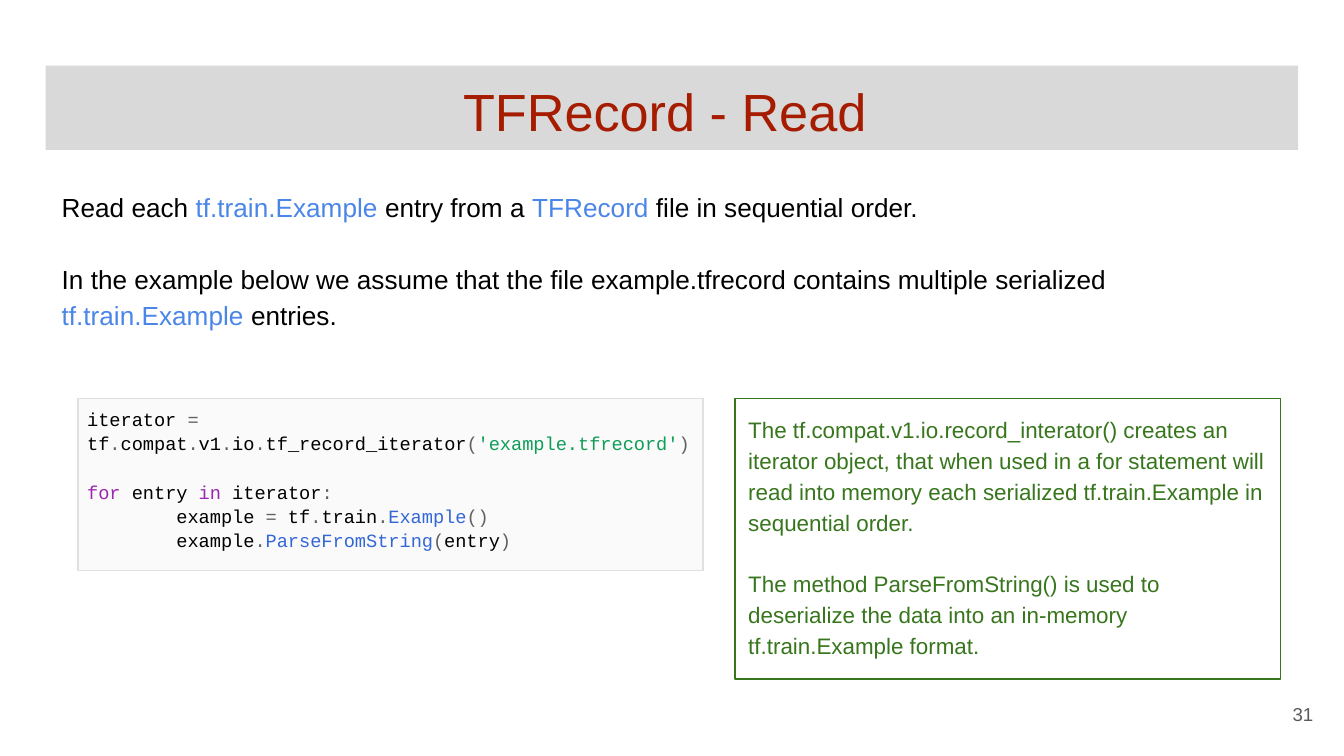
from lxml.etree import SubElement
from pptx import Presentation
from pptx.dml.color import RGBColor
from pptx.enum.shapes import MSO_SHAPE
from pptx.enum.text import MSO_ANCHOR, PP_ALIGN
from pptx.oxml.ns import qn
from pptx.util import Pt

BLACK = RGBColor(0x00, 0x00, 0x00)
RED = RGBColor(0xA6, 0x1C, 0x00)
SILVER = RGBColor(0xD9, 0xD9, 0xD9)
SLATE = RGBColor(0x59, 0x59, 0x59)
BLUE = RGBColor(0x4A, 0x86, 0xE8)
GREEN = RGBColor(0x38, 0x76, 0x1D)
PALE = RGBColor(0xFA, 0xFA, 0xFA)
EDGE = RGBColor(0xE0, 0xE0, 0xE0)
MARK = RGBColor(0x61, 0x61, 0x61)
STRING = RGBColor(0x0F, 0x9D, 0x58)
KEYWORD = RGBColor(0x9C, 0x27, 0xB0)
METHOD = RGBColor(0x33, 0x67, 0xD6)

INTRO = [
    [("Read each ", BLACK), ("tf.train.Example ", BLUE), ("entry from a ", BLACK),
     ("TFRecord", BLUE), (" file in sequential order.", BLACK)],
    [("In the example below we assume that the file example.tfrecord "
      "contains multiple serialized ", BLACK),
     ("tf.train.Example ", BLUE), ("entries.", BLACK)],
]
DOT = (".", MARK)
CODE = [
    [("iterator ", BLACK), ("=", MARK), (" tf", BLACK), DOT, ("compat", BLACK), DOT,
     ("v1", BLACK), DOT, ("io", BLACK), DOT, ("tf_record_iterator", BLACK),
     ("(", MARK), ("'example.tfrecord'", STRING), (")", MARK)],
    [("for", KEYWORD), (" entry ", BLACK), ("in", KEYWORD), (" iterator", BLACK),
     (":", MARK)],
    [("        example ", BLACK), ("=", MARK), (" tf", BLACK), DOT, ("train", BLACK),
     DOT, ("Example", METHOD), ("()", MARK)],
    [("        example", BLACK), DOT, ("ParseFromString", METHOD), ("(", MARK),
     ("entry", BLACK), (")", MARK)],
]
NOTES = [
    [("The tf.compat.v1.io.record_interator() creates an iterator object, that when "
      "used in a for statement will read into memory each serialized "
      "tf.train.Example in sequential order.", GREEN)],
    [("The method ParseFromString() is used to deserialize the data into an "
      "in-memory tf.train.Example format.", GREEN)],
]


class Deck:
    sans = "Arial"
    mono = "Courier New"
    inset = 7.2

    def __init__(self):
        self.show = Presentation()
        self.show.slide_width, self.show.slide_height = Pt(720), Pt(405)
        self.slide = self.show.slides.add_slide(self.show.slide_layouts[5])
        self.shapes = self.slide.shapes

    def frame(self, frame, anchor=MSO_ANCHOR.TOP):
        frame.word_wrap = True
        frame.vertical_anchor = anchor
        frame.margin_left = frame.margin_right = Pt(self.inset)
        frame.margin_top = frame.margin_bottom = Pt(self.inset)

    def font(self, run, size, color, name):
        run.font.size, run.font.name = Pt(size), name
        run.font.color.rgb = color

    def line(self, frame, text, size, color, align):
        frame.text = text
        frame.paragraphs[0].alignment = align
        self.font(frame.paragraphs[0].runs[0], size, color, self.sans)

    def prose(self, frame, lines, size, gap, name=sans):
        for index, parts in enumerate(lines):
            para = frame.add_paragraph() if index else frame.paragraphs[0]
            para.alignment = PP_ALIGN.LEFT
            para.line_spacing = 1.15
            if index == 1:
                para.space_before = Pt(gap)
            for text, color in parts:
                run = para.add_run()
                run.text = text
                self.font(run, size, color, name)

    def title(self, text, left, top, width, height):
        title = self.shapes.title
        title.left, title.top = Pt(left), Pt(top)
        title.width, title.height = Pt(width), Pt(height)
        title.fill.solid()
        title.fill.fore_color.rgb = SILVER
        self.frame(title.text_frame)
        self.line(title.text_frame, text, 28, RED, PP_ALIGN.CENTER)

    def number(self, text, left, top, width, height):
        box = self.shapes.add_textbox(Pt(left), Pt(top), Pt(width), Pt(height))
        self.frame(box.text_frame, MSO_ANCHOR.MIDDLE)
        self.line(box.text_frame, text, 10, SLATE, PP_ALIGN.RIGHT)

    def body(self, lines, left, top, width, height):
        box = self.shapes.add_textbox(Pt(left), Pt(top), Pt(width), Pt(height))
        self.frame(box.text_frame)
        self.prose(box.text_frame, lines, 14, 19.3)

    def code(self, lines, left, top, width, height):
        table = self.shapes.add_table(
            1, 1, Pt(left), Pt(top), Pt(width), Pt(height)).table
        table.first_row = table.horz_banding = False
        cell = table.cell(0, 0)
        cell.margin_left = cell.margin_right = Pt(5)
        cell.margin_top = cell.margin_bottom = Pt(5)
        self.prose(cell.text_frame, lines, 10, 13, self.mono)
        props = cell._tc.get_or_add_tcPr()
        for side in ("a:lnL", "a:lnR", "a:lnT", "a:lnB"):
            edge = SubElement(props, qn(side), w=str(Pt(1)))
            fill = SubElement(edge, qn("a:solidFill"))
            SubElement(fill, qn("a:srgbClr"), val=str(EDGE))
        cell.fill.solid()
        cell.fill.fore_color.rgb = PALE

    def panel(self, lines, left, top, width, height):
        box = self.shapes.add_shape(
            MSO_SHAPE.RECTANGLE, Pt(left), Pt(top), Pt(width), Pt(height))
        box.shadow.inherit = False
        box.fill.background()
        box.line.color.rgb = GREEN
        box.line.width = Pt(0.75)
        self.frame(box.text_frame)
        self.prose(box.text_frame, lines, 12, 16.5)

    def save(self):
        self.show.save("out.pptx")


def main():
    deck = Deck()
    deck.title("TFRecord - Read ", 24.5, 35.1, 671, 45.2)
    deck.number("31", 667.4, 367.2, 43.2, 31)
    deck.body(INTRO, 26, 93, 667.4, 72.7)
    deck.code(CODE, 41.7, 213.6, 334.8, 88)
    deck.panel(NOTES, 393.8, 213.6, 292.3, 150.2)
    deck.save()


if __name__ == "__main__":
    main()
